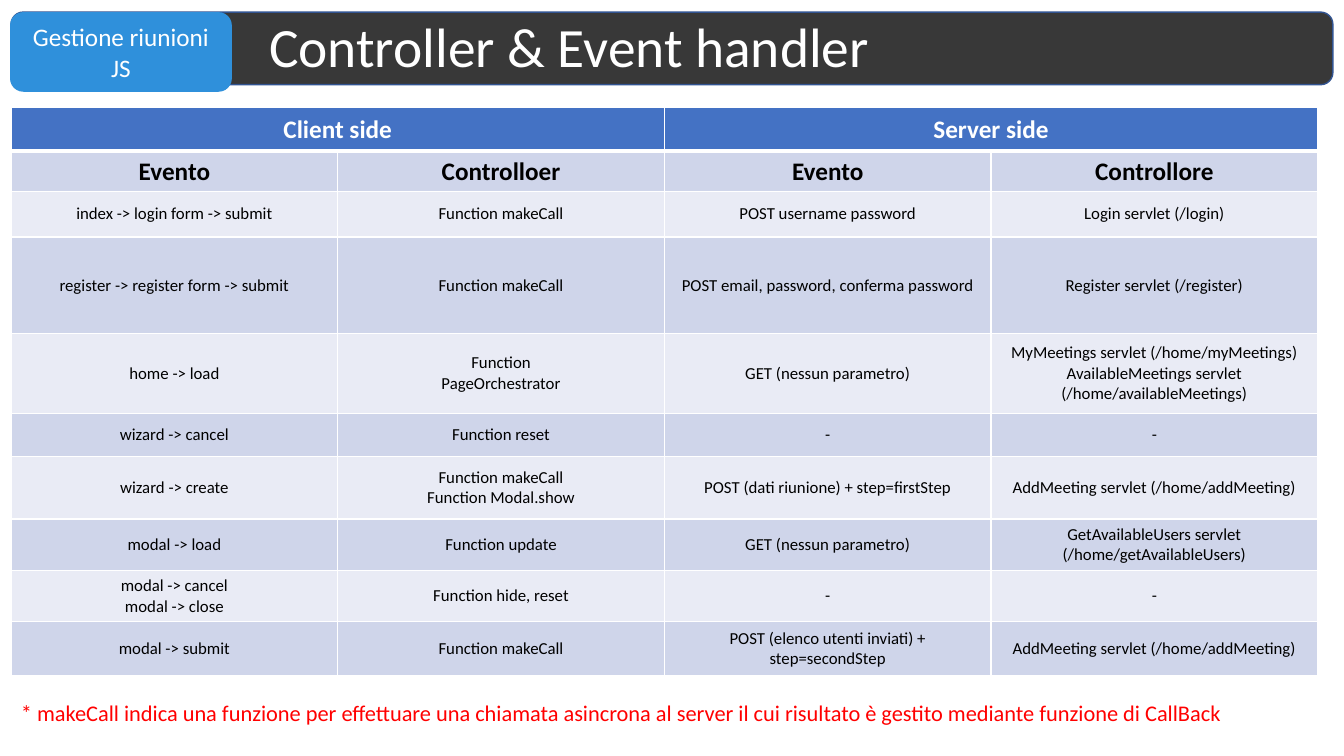
import pptx
import pptx.util
import pptx.dml.color
import pptx.enum.shapes
import pptx.enum.text
import pptx.oxml.ns
import lxml.etree

Inches, Pt = pptx.util.Inches, pptx.util.Pt
RGB = pptx.dml.color.RGBColor.from_string
ALIGN = pptx.enum.text.PP_ALIGN
MIDDLE = pptx.enum.text.MSO_ANCHOR.MIDDLE
ROUND = pptx.enum.shapes.MSO_SHAPE.ROUNDED_RECTANGLE
COLORS = {
    "white": "FFFFFF", "black": "000000", "red": "FF0000",
    "bar": "383838", "edge": "325491", "badge": "2F90DB",
    "head": "4472C4", "dark": "CFD5EA", "light": "E9EBF5",
}


def style(frame, size, color, bold=False, align=ALIGN.LEFT):
    """Format all the text of a frame."""
    for para in frame.paragraphs:
        para.alignment = align
        for run in para.runs:
            run.font.name = "Calibri"
            run.font.size = Pt(size)
            run.font.bold = bold
            run.font.color.rgb = RGB(COLORS[color])


def border(cell, side, width):
    """Add a white border on one side of a cell."""
    qn = pptx.oxml.ns.qn
    props = cell._tc.get_or_add_tcPr()
    line = lxml.etree.SubElement(props, qn("a:ln" + side), w=str(Pt(width)))
    fill = lxml.etree.SubElement(line, qn("a:solidFill"))
    lxml.etree.SubElement(fill, qn("a:srgbClr"), val=COLORS["white"])


deck = pptx.Presentation()
deck.slide_width, deck.slide_height = Inches(13.33), Inches(7.5)
slide = deck.slides.add_slide(deck.slide_layouts[6])
shapes = slide.shapes

# Header bar, badge and title
bar = shapes.add_shape(ROUND, Inches(0.11), Inches(0.12), Inches(13.11), Inches(0.72))
bar.line.color.rgb = RGB(COLORS["edge"])
bar.line.width = Pt(1)
badge = shapes.add_shape(ROUND, Inches(0.1), Inches(0.12), Inches(2.2), Inches(0.79))
badge.line.fill.background()
for shape, color in ((bar, "bar"), (badge, "badge")):
    shape.shadow.inherit = False
    shape.fill.solid()
    shape.fill.fore_color.rgb = RGB(COLORS[color])
badge.text_frame.text = "Gestione riunioni JS"
badge.text_frame.vertical_anchor = MIDDLE
style(badge.text_frame, 18, "white", align=ALIGN.CENTER)

title = shapes.add_textbox(Inches(2.57), Inches(0.12), Inches(10.63), Inches(0.74)).text_frame
title.word_wrap = True
title.vertical_anchor = MIDDLE
title.text = "Controller & Event handler"
title.paragraphs[0].line_spacing = 0.9
style(title, 39.6, "white")

# Table of events: row height, then the four cells
ROWS = [
    (0.43, "Client side", "", "Server side", ""),
    (0.4, "Evento", "Controlloer", "Evento", "Controllore"),
    (0.45, "index -> login form -> submit", "Function makeCall",
     "POST username password", "Login servlet (/login)"),
    (0.96, "register -> register form -> submit", "Function makeCall",
     "POST email, password, conferma password", "Register servlet (/register)"),
    (0.79, "home -> load", "Function\nPageOrchestrator", "GET (nessun parametro)",
     "MyMeetings servlet (/home/myMeetings)\n"
     "AvailableMeetings servlet (/home/availableMeetings)"),
    (0.43, "wizard -> cancel", "Function reset", "-", "-"),
    (0.62, "wizard -> create", "Function makeCall\nFunction Modal.show",
     "POST (dati riunione) + step=firstStep", "AddMeeting servlet (/home/addMeeting)"),
    (0.51, "modal -> load", "Function update", "GET (nessun parametro)",
     "GetAvailableUsers servlet (/home/getAvailableUsers)"),
    (0.51, "modal -> cancel\nmodal -> close", "Function hide, reset", "-", "-"),
    (0.53, "modal -> submit", "Function makeCall",
     "POST (elenco utenti inviati) + step=secondStep",
     "AddMeeting servlet (/home/addMeeting)"),
]
table = shapes.add_table(len(ROWS), 4, Inches(0.11), Inches(1.07),
                         Inches(12.97), Inches(5.62)).table
for col in table.columns:
    col.width = Inches(3.24)
for left in (0, 2):
    table.cell(0, left).merge(table.cell(0, left + 1))

for i, (height, *texts) in enumerate(ROWS):
    table.rows[i].height = Inches(height)
    fill = "head" if i == 0 else "dark" if i % 2 else "light"
    for j, text in enumerate(texts):
        cell = table.cell(i, j)
        for side in "LRTB":
            thick = (i, side) in ((0, "B"), (1, "T"))
            border(cell, side, 3 if thick else 1)
        cell.fill.solid()
        cell.fill.fore_color.rgb = RGB(COLORS[fill])
        cell.vertical_anchor = MIDDLE
        if text:
            cell.text_frame.text = text
            style(cell.text_frame, 18 if i < 2 else 12,
                  "black" if i else "white", i < 2, ALIGN.CENTER)

# Footnote
note = shapes.add_textbox(Inches(0.11), Inches(6.89), Inches(12.97), Inches(0.37)).text_frame
note.word_wrap = True
note.text = ("* makeCall indica una funzione per effettuare una chiamata asincrona al server "
             "il cui risultato è gestito mediante funzione di CallBack")
style(note, 16, "red")

deck.save("out.pptx")
